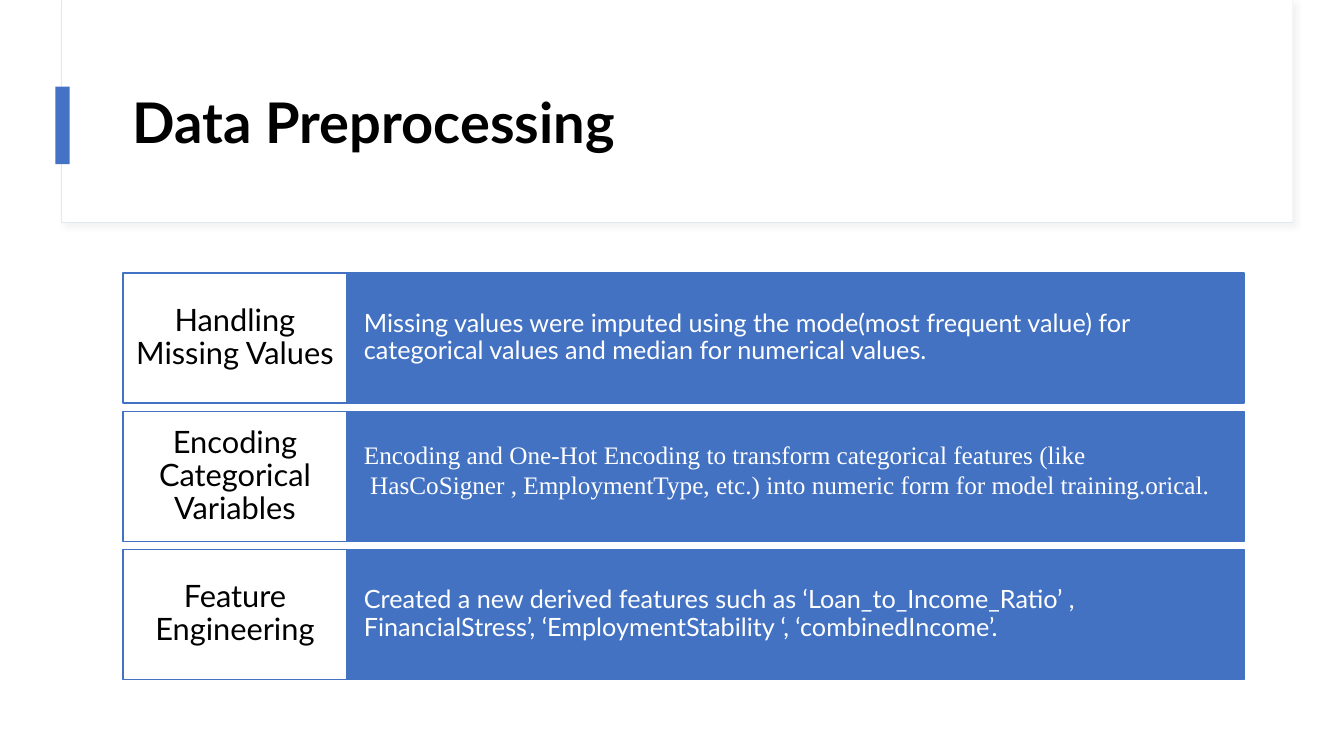
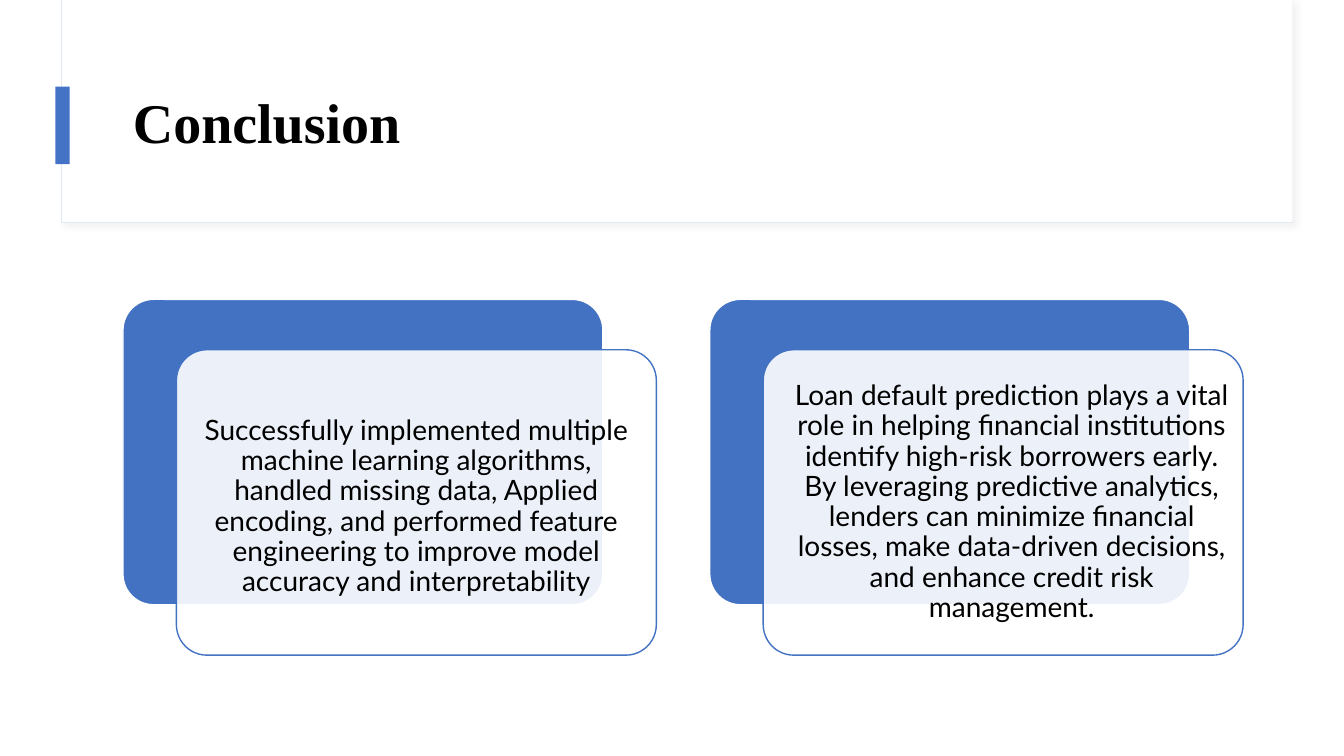
from dataclasses import dataclass

from lxml import etree
from pptx import Presentation
from pptx.dml.color import RGBColor
from pptx.enum import shapes, text
from pptx.oxml import ns
from pptx.util import Inches, Pt


@dataclass(frozen=True)
class Theme:
    accent: str = "4472C4"
    block: str = "4372C3"
    white: str = "FFFFFF"
    ink: str = "000000"
    panel_line: str = "E1E8EF"
    shadow: str = "D8D8D8"
    sans: str = "Lato"
    serif: str = "Times New Roman"
    title_size: int = 40
    label_size: int = 22
    card_size: int = 20
    detail_size: int = 18


THEME = Theme()
RECT = shapes.MSO_SHAPE.RECTANGLE
ROUNDED = shapes.MSO_SHAPE.ROUNDED_RECTANGLE
LEFT, CENTER = text.PP_ALIGN.LEFT, text.PP_ALIGN.CENTER

# Left edge of the content and the vertical rhythm of the rows
MARGIN = 1.22
ROW_TOP, ROW_HEIGHT, ROW_GAP = 2.71, 1.29, 0.08
LABEL_WIDTH, DETAIL_WIDTH = 2.22, 8.9

# Cards: a solid back and a translucent front, shifted down and right
CARD_TOP, CARD_WIDTH, CARD_HEIGHT, CARD_PITCH = 2.97, 4.76, 3.03, 5.82
FRONT_DX, FRONT_DY = 0.53, 0.5


# Drawing helpers
def add_block(slide, kind, at, fill, line=None, line_width=1):
    """Draw a filled preset shape, outlined only when a line colour is given."""
    shape = slide.shapes.add_shape(kind, *(Inches(length) for length in at))
    shape.shadow.inherit = False
    shape.fill.solid()
    shape.fill.fore_color.rgb = RGBColor.from_string(fill)
    if line:
        shape.line.color.rgb = RGBColor.from_string(line)
        shape.line.width = Pt(line_width)
    else:
        shape.line.fill.background()
    return shape


def set_alpha(color_parent, percent):
    color = color_parent.find(".//" + ns.qn("a:srgbClr"))
    etree.SubElement(color, ns.qn("a:alpha"), val=str(percent * 1000))


def add_soft_shadow(shape):
    effects = shape._element.spPr.find(ns.qn("a:effectLst"))
    shadow = etree.SubElement(
        effects, ns.qn("a:outerShdw"), blurRad=str(Pt(4)), dist=str(Pt(3)),
        dir=str(45 * 60000), algn="tl", rotWithShape="0")
    etree.SubElement(shadow, ns.qn("a:srgbClr"), val=THEME.shadow)
    set_alpha(effects, 30)


def write(shape, paragraphs, size, color, insets, font=THEME.sans,
          align=LEFT, spacing=0.9, bold=False):
    """Fill a shape with vertically centred text; insets are left, top, right, bottom."""
    frame = shape.text_frame
    frame.word_wrap = True
    frame.vertical_anchor = text.MSO_ANCHOR.MIDDLE
    (frame.margin_left, frame.margin_top,
     frame.margin_right, frame.margin_bottom) = (Inches(inset) for inset in insets)
    frame.text = "\n".join(paragraphs)
    for para in frame.paragraphs:
        para.alignment = align
        para.line_spacing = spacing
        for span in para.runs:
            span.font.name = font
            span.font.size = Pt(size)
            span.font.bold = bold
            span.font.color.rgb = RGBColor.from_string(color)


# Shared page: header panel, accent bar and title
def add_page(deck, title, font=THEME.sans):
    page = deck.slides.add_slide(deck.slide_layouts[6])
    panel = add_block(page, RECT, (0.61, 0, 12.21, 2.21), THEME.white,
                      THEME.panel_line, 0.75)
    add_soft_shadow(panel)
    add_block(page, RECT, (0.62, 0, 12.2, 2.2), THEME.white)
    add_block(page, RECT, (0.55, 0.86, 0.14, 0.77), THEME.accent)
    box = page.shapes.add_textbox(Inches(MARGIN), Inches(0.6), Inches(11.12), Inches(1.29))
    write(box, [title], THEME.title_size, THEME.ink, (0.1, 0.05, 0.1, 0.05),
          font=font, bold=True)
    return page


# Content elements
def add_row(page, index, label, detail, font=THEME.sans, spacing=0.9, lift=0):
    """Draw a step label with its description; lift raises the description text."""
    top = ROW_TOP + index * (ROW_HEIGHT + ROW_GAP)
    detail_box = add_block(page, RECT, (MARGIN + LABEL_WIDTH, top, DETAIL_WIDTH, ROW_HEIGHT),
                           THEME.block, THEME.block)
    write(detail_box, detail, THEME.detail_size, THEME.white,
          (0.17, 0.33 - lift, 0.17, 0.33 + lift), font=font, spacing=spacing)
    label_box = add_block(page, RECT, (MARGIN, top, LABEL_WIDTH, ROW_HEIGHT),
                          THEME.white, THEME.block)
    write(label_box, [label], THEME.label_size, THEME.ink,
          (0.12, 0.13, 0.12, 0.13), align=CENTER)


def add_card(page, index, paragraphs, insets):
    left = MARGIN + index * CARD_PITCH
    back = add_block(page, ROUNDED, (left, CARD_TOP, CARD_WIDTH, CARD_HEIGHT),
                     THEME.block, THEME.white)
    front = add_block(page, ROUNDED,
                      (left + FRONT_DX, CARD_TOP + FRONT_DY, CARD_WIDTH, CARD_HEIGHT),
                      THEME.white, THEME.block)
    for shape in (back, front):
        shape.adjustments[0] = 0.1
    set_alpha(front._element.spPr.find(ns.qn("a:solidFill")), 90)
    write(front, paragraphs, THEME.card_size, THEME.ink, insets, align=CENTER)


# Slides
def build_preprocessing(deck):
    page = add_page(deck, "Data Preprocessing")
    add_row(page, 0, "Handling Missing Values", [
        "Missing values were imputed using the mode(most frequent value) for "
        "categorical values and median for numerical values."])
    add_row(page, 1, "Encoding Categorical Variables", [
        "Encoding and One-Hot Encoding to transform categorical features (like",
        " HasCoSigner , EmploymentType, etc.) into numeric form for model training.orical.",
    ], font=THEME.serif, spacing=1.0, lift=0.07)
    add_row(page, 2, "Feature Engineering", [
        "Created a new derived features such as ‘Loan_to_Income_Ratio’ , "
        "FinancialStress’, ‘EmploymentStability ‘, ‘combinedIncome’."])


def build_conclusion(deck):
    page = add_page(deck, "Conclusion", font=THEME.serif)
    add_card(page, 0, [
        "Successfully implemented multiple machine learning algorithms, handled "
        "missing data, Applied encoding, and performed feature engineering to "
        "improve model accuracy and interpretability",
    ], insets=(0.08, 0.09, 0.08, 0))
    add_card(page, 1, [
        "Loan default prediction plays a vital role in helping financial "
        "institutions identify high-risk borrowers early.",
        "By leveraging predictive analytics, lenders can minimize financial losses, "
        "make data-driven decisions, and enhance credit risk management.",
    ], insets=(0.17, 0.08, 0, 0.08))


def main():
    deck = Presentation()
    deck.slide_width, deck.slide_height = Inches(13.33), Inches(7.5)
    build_preprocessing(deck)
    build_conclusion(deck)
    deck.save("out.pptx")


if __name__ == "__main__":
    main()
